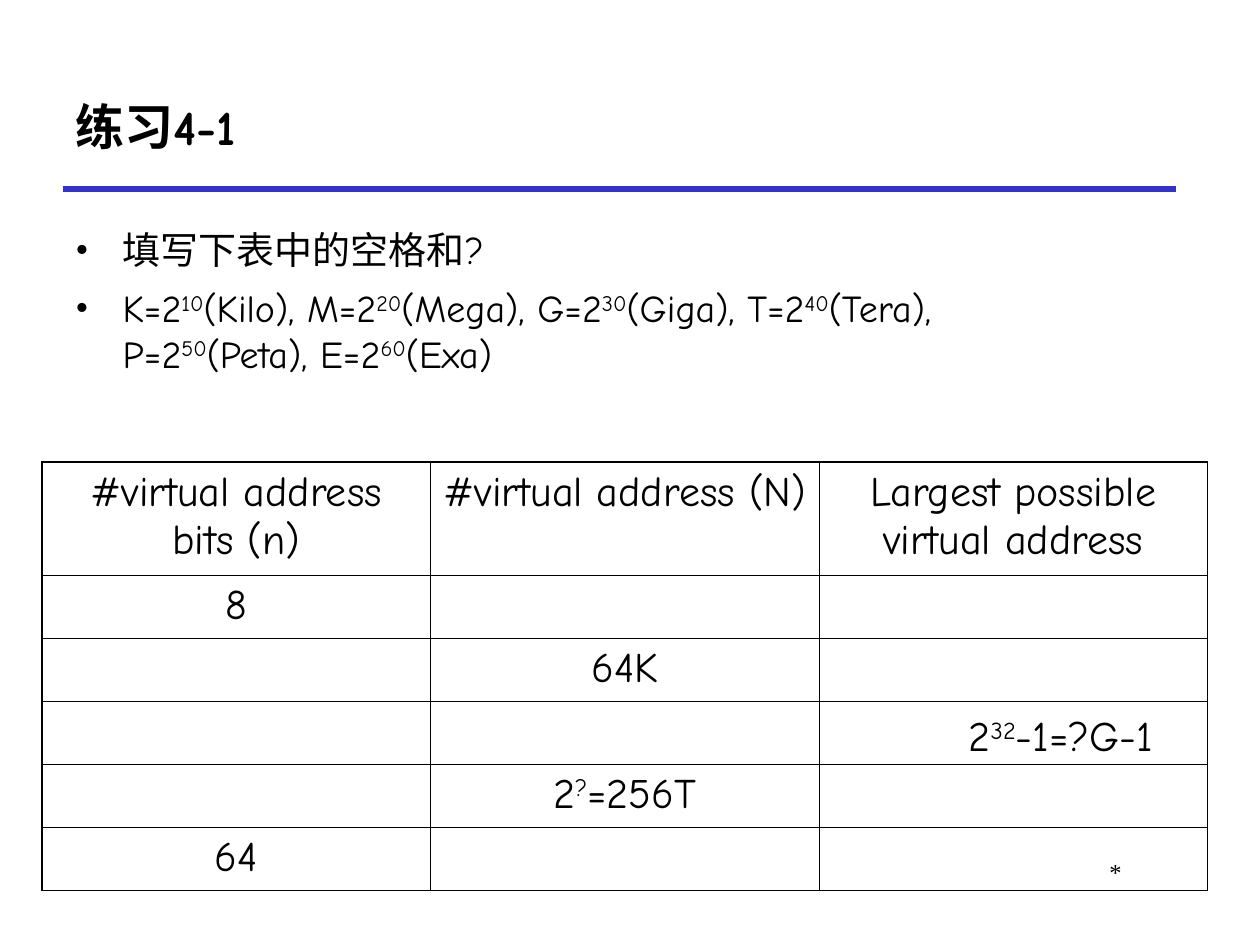
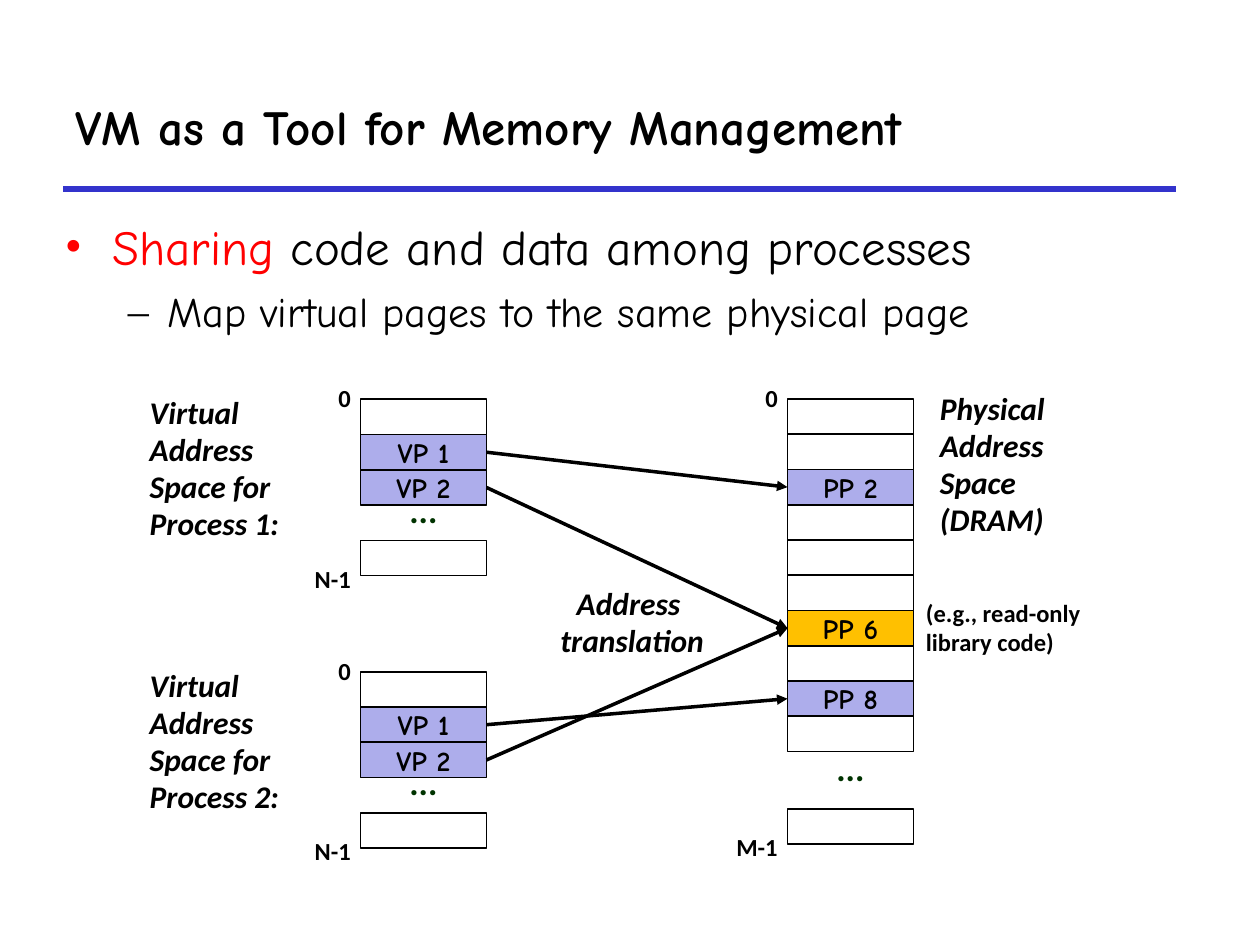
from dataclasses import dataclass
from typing import NamedTuple, Optional

from lxml.etree import SubElement
from pptx import Presentation
from pptx.dml.color import RGBColor
from pptx.enum.shapes import MSO_CONNECTOR, MSO_SHAPE
from pptx.enum.text import MSO_ANCHOR, PP_ALIGN
from pptx.oxml.ns import qn
from pptx.util import Pt


@dataclass(frozen=True)
class Theme:
    black: str = "000000"
    rule: str = "3333CC"
    accent: str = "FF0000"
    dots: str = "003300"
    mapped: str = "ADADEB"
    shared: str = "FFC000"
    hand: str = "Comic Neue"
    label: str = "Calibri"
    serif: str = "Times New Roman"
    title_size: float = 28
    body_size: float = 24
    note_size: float = 21.7
    dots_size: float = 20
    caption_size: float = 18
    page_size: float = 16
    small_size: float = 14
    outer_border: float = 1.08
    inner_border: float = 0.45


T = Theme()


class Box(NamedTuple):
    left: float
    top: float
    width: float
    height: float

    def emu(self) -> list:
        return [Pt(v) for v in self]


@dataclass(frozen=True)
class AddressSpace:
    """A column of pages; slots count page heights down from its top."""
    left: float
    top: float
    slots: tuple
    dots_slot: float
    last_slot: float
    last_label: str
    names: dict


PAGE_W, PAGE_H = 72, 20.15
VIRTUAL_PAGES = {1: "VP 1", 2: "VP 2"}
PROCESSES = [
    AddressSpace(206, top, (0, 1, 2), 2.5, 4, "N-1", VIRTUAL_PAGES)
    for top in (228.2, 383.9)
]
PHYSICAL = AddressSpace(450, 228, tuple(range(10)), 9.83, 11.62, "M-1",
                        {2: "PP 2", 6: "PP 6", 8: "PP 8"})
MAPPINGS = [{1: 2, 2: 6}, {1: 8, 2: 6}]
SHARED_PAGE = "PP 6"

ADDRESS_ROWS = [
    ("#virtual address bits (n)", "#virtual address (N)",
     "Largest possible virtual address"),
    ("8", "", ""),
    ("", "64K", ""),
    ("", "", ""),
    ("", "2^?^=256T", ""),
    ("64", "", ""),
]


def add_text(p, text: str, *, size: float, font: str = T.hand,
             color: str = T.black, bold: bool = False, italic: bool = False,
             align=None, spacing: Optional[float] = None,
             before: Optional[float] = None) -> None:
    """Append text to a paragraph; parts between ^ marks are superscript."""
    if align is not None:
        p.alignment = align
    if spacing is not None:
        p.line_spacing = spacing
    if before is not None:
        p.space_before = Pt(before)
    for i, part in enumerate(text.split("^")):
        if not part:
            continue
        r = p.add_run()
        r.text = part
        f = r.font
        f.size, f.name, f.bold, f.italic = Pt(size), font, bold, italic
        f.color.rgb = RGBColor.from_string(color)
        if i % 2:
            r._r.get_or_add_rPr().set("baseline", "30000")


def add_box(s, box: Box, lines: list, *, anchor=MSO_ANCHOR.TOP, **fmt):
    tf = s.shapes.add_textbox(*box.emu()).text_frame
    tf.word_wrap = True
    tf.vertical_anchor = anchor
    for i, line in enumerate(lines):
        p = tf.add_paragraph() if i else tf.paragraphs[0]
        add_text(p, line, **fmt)
    return tf


def add_bullet(p, char: str, color: str, indent: float, hang: float) -> None:
    pPr = p._p.get_or_add_pPr()
    pPr.set("marL", str(Pt(indent)))
    pPr.set("indent", str(-Pt(hang)))
    SubElement(SubElement(pPr, qn("a:buClr")), qn("a:srgbClr")).set("val", color)
    SubElement(pPr, qn("a:buFont")).set("typeface", T.serif)
    SubElement(pPr, qn("a:buChar")).set("char", char)


def add_line(s, start: tuple, end: tuple, color: str, width: float,
             arrow: bool = False):
    ends = [Pt(v) for v in (*start, *end)]
    line = s.shapes.add_connector(MSO_CONNECTOR.STRAIGHT, *ends)
    line.line.color.rgb = RGBColor.from_string(color)
    line.line.width = Pt(width)
    if arrow:
        ln = line.line._get_or_add_ln()
        SubElement(ln, qn("a:tailEnd")).set("type", "triangle")
    SubElement(line._element.spPr, qn("a:effectLst"))
    return line


def add_titled_slide(prs, title: str):
    s = prs.slides.add_slide(prs.slide_layouts[6])
    add_line(s, (36, 108), (672, 108), T.rule, 3)
    add_box(s, Box(36, 36, 678, 72), [title], anchor=MSO_ANCHOR.MIDDLE,
            size=T.title_size, bold=True)
    return s


def set_borders(cell, widths: dict) -> None:
    tcPr = cell._tc.get_or_add_tcPr()
    for side in ("L", "R", "T", "B"):
        ln = SubElement(tcPr, qn(f"a:ln{side}"), w=str(Pt(widths[side])))
        fill = SubElement(ln, qn("a:solidFill"))
        SubElement(fill, qn("a:srgbClr")).set("val", T.black)


def add_address_table(s) -> None:
    n_rows, n_cols = len(ADDRESS_ROWS), len(ADDRESS_ROWS[0])
    box = Box(24, 264, 666, 244.8)
    table = s.shapes.add_table(n_rows, n_cols, *box.emu()).table
    table.first_row = table.horz_banding = False
    for col in table.columns:
        col.width = Pt(box.width / n_cols)
    for i, texts in enumerate(ADDRESS_ROWS):
        table.rows[i].height = Pt(36 if i else 64.8)
        for j, text in enumerate(texts):
            cell = table.cell(i, j)
            outer = {"L": j == 0, "R": j == n_cols - 1,
                     "T": i == 0, "B": i == n_rows - 1}
            set_borders(cell, {side: T.outer_border if edge else T.inner_border
                               for side, edge in outer.items()})
            cell.fill.background()
            add_text(cell.text_frame.paragraphs[0], text, size=T.body_size,
                     align=PP_ALIGN.CENTER, before=6)


def add_page(s, space: AddressSpace, slot: float):
    box = Box(space.left, space.top + slot * PAGE_H, PAGE_W, PAGE_H)
    page = s.shapes.add_shape(MSO_SHAPE.RECTANGLE, *box.emu())
    page.shadow.inherit = False
    page.line.color.rgb = RGBColor.from_string(T.black)
    page.line.width = Pt(1)
    name = space.names.get(slot)
    if name is None:
        page.fill.background()
        return page
    page.fill.solid()
    page.fill.fore_color.rgb = RGBColor.from_string(
        T.shared if name == SHARED_PAGE else T.mapped)
    tf = page.text_frame
    tf.vertical_anchor = MSO_ANCHOR.MIDDLE
    add_text(tf.paragraphs[0], name, size=T.page_size, bold=True,
             align=PP_ALIGN.CENTER)
    return page


def add_address_space(s, space: AddressSpace) -> dict:
    """Draw the column with its labels and return its pages by slot."""
    pages = {slot: add_page(s, space, slot)
             for slot in (*space.slots, space.last_slot)}
    dots_top = space.top + space.dots_slot * PAGE_H
    add_box(s, Box(space.left, dots_top, PAGE_W, 28), ["..."],
            size=T.dots_size, font=T.label, color=T.dots, bold=True,
            spacing=0.88, before=9, align=PP_ALIGN.CENTER)
    last_top = space.top + space.last_slot * PAGE_H
    for label, top in (("0", space.top - 12), (space.last_label, last_top + 10.5)):
        add_box(s, Box(space.left - 49, top, 50.5, 24), [label],
                size=T.small_size, font=T.label, bold=True, spacing=0.98,
                align=PP_ALIGN.RIGHT)
    return pages


def build_exercise(prs) -> None:
    s = add_titled_slide(prs, "练习4-1")
    add_box(s, Box(546, 486, 102, 36), ["*"], size=T.small_size, font=T.serif,
            align=PP_ALIGN.RIGHT)
    tf = add_box(s, Box(36, 126, 594, 90), [
        "填写下表中的空格和?",
        "K=2^10^(Kilo), M=2^20^(Mega), G=2^30^(Giga), T=2^40^(Tera), "
        "P=2^50^(Peta), E=2^60^(Exa)",
    ], size=T.note_size, spacing=1.0, before=7)
    for p in tf.paragraphs:
        add_bullet(p, "•", T.black, 27, 27)
    add_address_table(s)
    add_box(s, Box(546.5, 402, 140, 36), ["2^32^-1=?G-1"], size=T.body_size)


def build_sharing(prs) -> None:
    s = add_titled_slide(prs, "VM as a Tool for Memory Management")
    tf = add_box(s, Box(30, 126, 672, 150), ["Sharing"], size=T.title_size,
                 color=T.accent, spacing=0.83, before=7)
    p = tf.paragraphs[0]
    add_text(p, " code and data among processes", size=T.title_size)
    add_bullet(p, "•", T.accent, 27, 27)
    p = tf.add_paragraph()
    add_text(p, "Map virtual pages to the same physical page",
             size=T.body_size, before=6)
    add_bullet(p, "–", T.black, 58.5, 22.5)

    caption = dict(size=T.caption_size, font=T.label, bold=True, italic=True)
    add_box(s, Box(530, 220, 84, 91.5), ["Physical", "Address", "Space (DRAM)"],
            spacing=0.98, **caption)
    add_box(s, Box(522, 339, 114.5, 40), ["(e.g., read-only", "library code)"],
            size=T.small_size, font=T.label, bold=True, spacing=0.98)

    physical = add_address_space(s, PHYSICAL)
    for number, (space, mapping) in enumerate(zip(PROCESSES, MAPPINGS), 1):
        add_box(s, Box(78.5, space.top - 6, 108, 91.5),
                [f"Virtual Address Space for Process {number}:"],
                spacing=0.98, **caption)
        virtual = add_address_space(s, space)
        for vp, pp in mapping.items():
            arrow = add_line(s, (0, 0), (0, 0), T.black, 2, arrow=True)
            arrow.begin_connect(virtual[vp], 3)
            arrow.end_connect(physical[pp], 1)
    add_box(s, Box(306, 330, 110.5, 50), ["Address ", "translation"],
            align=PP_ALIGN.CENTER, **caption)


def main() -> None:
    prs = Presentation()
    prs.slide_width, prs.slide_height = Pt(720), Pt(540)
    build_exercise(prs)
    build_sharing(prs)
    prs.save("out.pptx")


if __name__ == "__main__":
    main()
